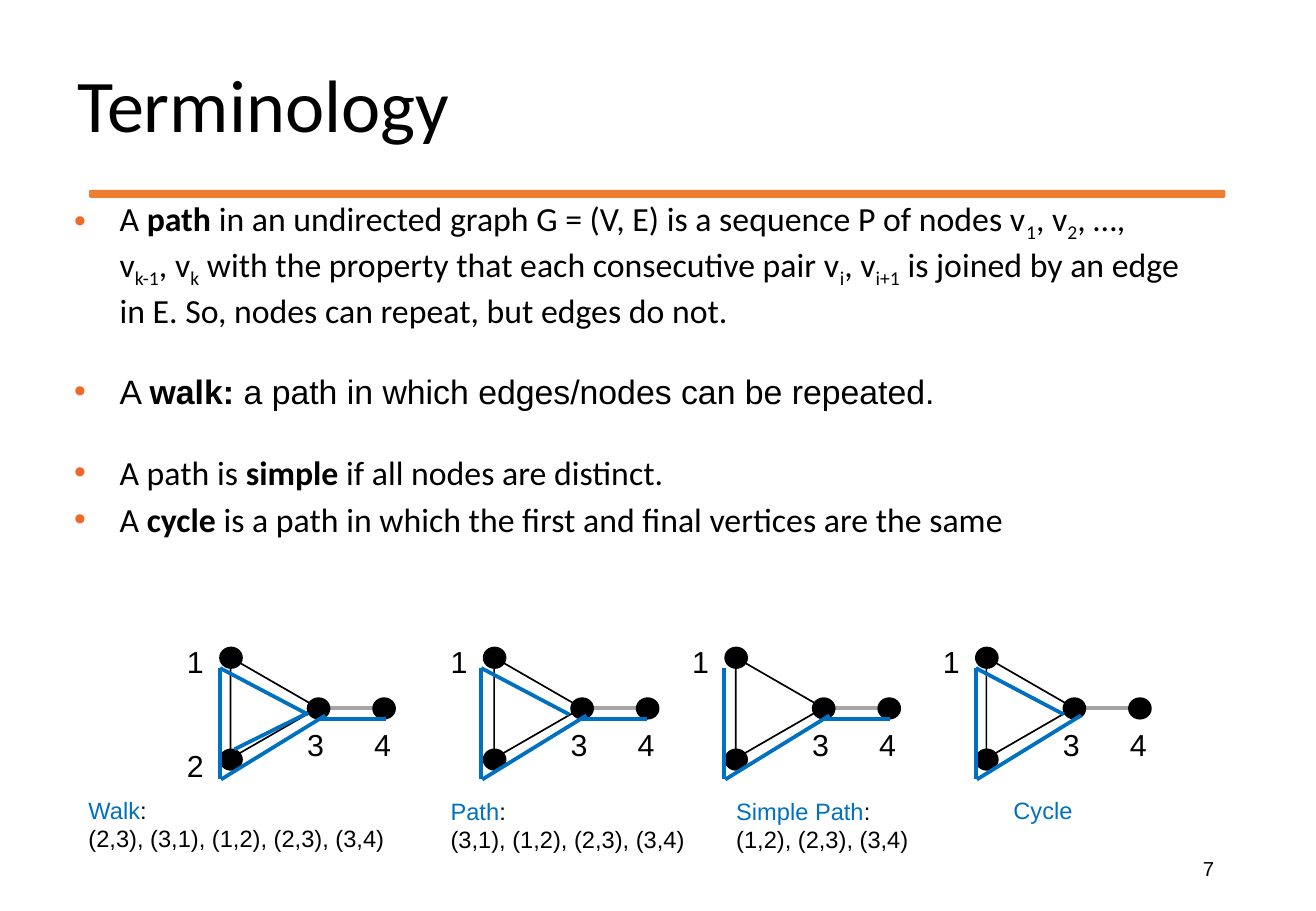
from lxml.etree import SubElement
from pptx import Presentation
from pptx.dml.color import RGBColor
from pptx.enum.shapes import MSO_CONNECTOR, MSO_SHAPE
from pptx.enum.text import MSO_ANCHOR, MSO_AUTO_SIZE, PP_ALIGN
from pptx.oxml.ns import qn
from pptx.util import Cm, Pt

COLORS = {"text": "000000", "accent": "ED7D31", "bullet": "F1682B",
          "edge": "A5A5A5", "route": "0070C0"}

# Each paragraph: font, space before in points, runs of (text, style)
BULLETS = [
    ("Calibri", 0, [
        ("A ", ""), ("path", "bold"),
        (" in an undirected graph G = (V, E) is a sequence P of nodes v", ""),
        ("1", "sub"), (", v", ""), ("2", "sub"), (", …, v", ""), ("k-1", "sub"),
        (", v", ""), ("k", "sub"),
        (" with the property that each consecutive pair v", ""),
        ("i", "sub"), (", v", ""), ("i+1", "sub"),
        (" is joined by an edge in E. So, nodes can repeat, but edges do not.", "")]),
    ("Arial", 24, [("A ", ""), ("walk: ", "bold"),
                   ("a path in which edges/nodes can be repeated.", "")]),
    ("Calibri", 24, [("A path is ", ""), ("simple", "bold"),
                     (" if all nodes are distinct.", "")]),
    ("Calibri", 4, [("A ", ""), ("cycle", "bold"),
                    (" is a path in which the first and final vertices are the same", "")]),
]

# Positions in cm: x is relative to the graph, y to the slide
NODES = [(3.2, 14.6), (1.83, 14.6), (0, 13.54), (0, 15.67)]
LABELS = {"1": (-0.94, 13.33), "2": (-0.94, 15.49), "3": (1.57, 15.06), "4": (2.97, 15.06)}
ROUTES = {
    "repeat": (0.3, 15.67, 1.83, 14.91),
    "1-2": (0, 13.97, 0, 16.3),
    "3-1": (1.84, 14.94, 0, 13.97),
    "2-3": (0.02, 16.3, 2.2, 14.96),
    "3-4": (2.07, 15.04, 3.47, 15.04),
}
# Graph x, route x, labels, routes, caption box, caption, steps
GRAPHS = [
    (4.6, 4.6, "1234", ["repeat", "1-2", "3-1", "2-3", "3-4"],
     (1.6, 16.51, 6.7, 1.45), "Walk", "(2,3), (3,1), (1,2), (2,3), (3,4)"),
    (10.11, 10.06, "134", ["1-2", "3-1", "2-3", "3-4"],
     (9.17, 16.53, 5.41, 1.45), "Path", "(3,1), (1,2), (2,3), (3,4)"),
    (15.16, 15.14, "134", ["1-2", "2-3", "3-4"],
     (15.14, 16.53, 4.11, 1.45), "Simple Path", "(1,2), (2,3), (3,4)"),
    (20.4, 20.4, "134", ["1-2", "3-1", "2-3"],
     (20.93, 16.51, 1.75, 0.86), "Cycle", ""),
]


def rgb(name):
    return RGBColor.from_string(COLORS[name])


class SlideBuilder:
    def __init__(self, slide):
        self.s = slide

    def shape(self, kind, box, fill=None, line="text"):
        sp = self.s.shapes.add_shape(kind, *map(Cm, box))
        sp.shadow.inherit = False
        if fill:
            sp.fill.solid()
            sp.fill.fore_color.rgb = rgb(fill)
        else:
            sp.fill.background()
        sp.line.color.rgb = rgb(line)
        sp.line.width = Pt(1)
        return sp

    def line(self, ends, color):
        c = self.s.shapes.add_connector(MSO_CONNECTOR.STRAIGHT, *map(Cm, ends))
        c.line.color.rgb = rgb(color)
        c.line.width = Pt(2.25)
        SubElement(c._element.spPr, qn("a:effectLst"))

    def font(self, font, size, name="Arial", color="text"):
        font.size = Pt(size)
        font.name = name
        font.color.rgb = rgb(color)

    def box(self, box, wrap=True):
        tf = self.s.shapes.add_textbox(*map(Cm, box)).text_frame
        tf.word_wrap = wrap
        tf.auto_size = MSO_AUTO_SIZE.NONE if wrap else MSO_AUTO_SIZE.SHAPE_TO_FIT_TEXT
        return tf

    def text(self, box, text, size, name="Arial", wrap=True, align=PP_ALIGN.LEFT):
        tf = self.box(box, wrap)
        tf.text = text
        p = tf.paragraphs[0]
        p.alignment = align
        self.font(p.runs[0].font, size, name)
        return tf

    def bullets(self, box, items):
        tf = self.box(box)
        for i, (name, before, runs) in enumerate(items):
            p = tf.add_paragraph() if i else tf.paragraphs[0]
            pPr = p._p.get_or_add_pPr()
            pPr.set("marL", str(Cm(0.95)))
            pPr.set("indent", str(Cm(-0.95)))
            clr = SubElement(pPr, qn("a:buClr"))
            SubElement(clr, qn("a:srgbClr"), val=COLORS["bullet"])
            SubElement(pPr, qn("a:buFont"), typeface="Arial")
            SubElement(pPr, qn("a:buChar"), char="•")
            if before:
                p.space_before = Pt(before)
            for text, style in runs:
                r = p.add_run()
                r.text = text
                self.font(r.font, 20, name)
                r.font.bold = style == "bold"
                if style == "sub":
                    r.font._element.set("baseline", "-25000")

    def caption(self, box, title, steps):
        tf = self.box(box, wrap=False)
        p = tf.paragraphs[0]
        p.text = title
        self.font(p.runs[0].font, 14, color="route")
        if not steps:
            p.alignment = PP_ALIGN.CENTER
            return
        r = p.add_run()
        r.text = ":"
        self.font(r.font, 14)
        p = tf.add_paragraph()
        p.text = steps
        self.font(p.runs[0].font, 14)

    def graph(self, x, labels):
        triangle = self.shape(MSO_SHAPE.ISOSCELES_TRIANGLE, (x + 0.08, 13.89, 2.11, 1.83))
        triangle.rotation = 90
        self.line((x + 2.06, 14.81, x + 3.2, 14.81), "edge")
        for dx, y in NODES:
            self.shape(MSO_SHAPE.OVAL, (x + dx, y, 0.46, 0.43), "text")
        for label in labels:
            dx, y = LABELS[label]
            self.text((x + dx, y, 0.86, 1.02), label, 18, wrap=False)

    def route(self, x, names):
        """Highlight the named edges of one graph."""
        for x1, y1, x2, y2 in (ROUTES[name] for name in names):
            self.line((x + x1, y1, x + x2, y2), "route")


def main():
    prs = Presentation()
    prs.slide_width, prs.slide_height = Cm(27.51), Cm(19.05)
    b = SlideBuilder(prs.slides.add_slide(prs.slide_layouts[6]))

    b.shape(MSO_SHAPE.ROUNDED_RECTANGLE, (1.88, 3.99, 23.72, 0.13), "accent", "accent")
    title = b.text((1.37, 1.3, 23.72, 3.68), "Terminology", 44, "Calibri")
    title.paragraphs[0].line_spacing = 0.9
    number = b.text((19.43, 17.65, 6.2, 1.02), "7", 12, align=PP_ALIGN.RIGHT)
    number.vertical_anchor = MSO_ANCHOR.MIDDLE
    b.bullets((1.3, 4.01, 23.62, 15.04), BULLETS)

    for x, route_x, labels, routes, box, name, steps in GRAPHS:
        b.graph(x, labels)
        b.route(route_x, routes)
        b.caption(box, name, steps)

    prs.save("out.pptx")


if __name__ == "__main__":
    main()
